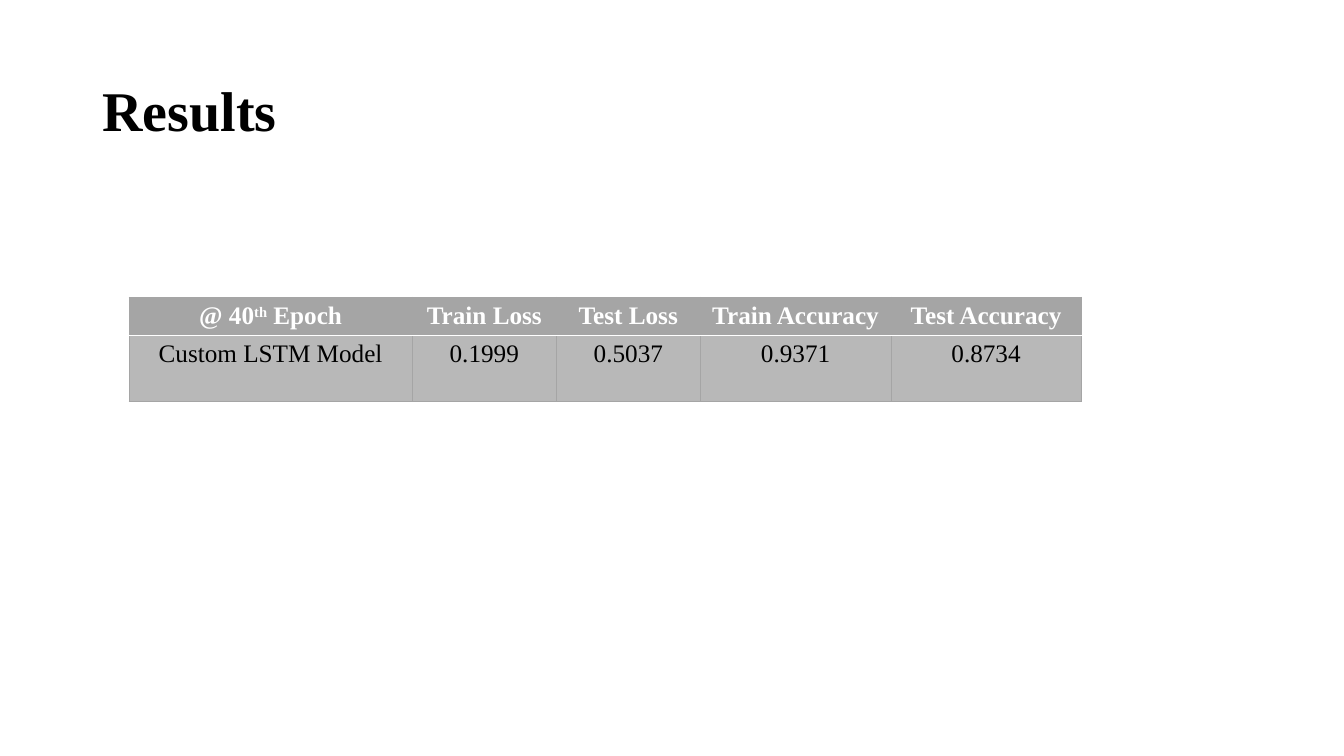
from lxml import etree
from pptx import Presentation
from pptx.dml.color import RGBColor
from pptx.enum.text import MSO_ANCHOR, PP_ALIGN
from pptx.oxml.ns import qn
from pptx.util import Cm, Pt

LEFT, CENTER = PP_ALIGN.LEFT, PP_ALIGN.CENTER
MIDDLE = MSO_ANCHOR.MIDDLE
TITLE_ONLY = 5
FONT = "Times New Roman"
BLACK = RGBColor(0x00, 0x00, 0x00)
WHITE = RGBColor(0xFF, 0xFF, 0xFF)
GRAY = RGBColor(0xA5, 0xA5, 0xA5)
LIGHT_GRAY = RGBColor(0xB8, 0xB8, 0xB8)

COLUMN_WIDTHS = [7.14, 3.63, 3.63, 4.8, 4.8]
ROW_HEIGHTS = [0.96, 1.66]
RESULTS = [
    ["@ 40^th^ Epoch", "Train Loss", "Test Loss", "Train Accuracy", "Test Accuracy"],
    ["Custom LSTM Model", "0.1999", "0.5037", "0.9371", "0.8734"],
]


def write_text(frame, text, size=18, color=BLACK, bold=False, align=CENTER, spacing=None):
    """Fill the frame with one paragraph; text between ^ marks is superscript."""
    paragraph = frame.paragraphs[0]
    paragraph.alignment = align
    paragraph.line_spacing = spacing
    for index, part in enumerate(text.split("^")):
        run = paragraph.add_run()
        run.text = part
        run.font.name = FONT
        run.font.size = Pt(size)
        run.font.bold = bold
        run.font.color.rgb = color
        if index % 2:
            run.font._element.set("baseline", "30000")


def set_borders(cell, **borders):
    """Draw cell borders given as side=(color, points), in the order L, R, T, B."""
    properties = cell._tc.get_or_add_tcPr()
    for position, (side, (color, points)) in enumerate(borders.items()):
        line = etree.Element(qn(f"a:ln{side}"), w=str(Pt(points)))
        fill = etree.SubElement(line, qn("a:solidFill"))
        etree.SubElement(fill, qn("a:srgbClr"), val=str(color))
        properties.insert(position, line)


def add_title(slide, text):
    title = slide.shapes.title
    title.left, title.top, title.width, title.height = Cm(2.33), Cm(1.01), Cm(29.21), Cm(3.68)
    title.text_frame.vertical_anchor = MIDDLE
    write_text(title.text_frame, text, size=40, bold=True, align=LEFT, spacing=0.9)


def add_results_table(slide):
    table = slide.shapes.add_table(
        len(RESULTS), len(COLUMN_WIDTHS), Cm(3.25), Cm(7.49),
        Cm(sum(COLUMN_WIDTHS)), Cm(sum(ROW_HEIGHTS)),
    ).table
    for column, width in zip(table.columns, COLUMN_WIDTHS):
        column.width = Cm(width)
    outline, divider = (GRAY, 0.5), (WHITE, 1)
    for row_index, (row, labels) in enumerate(zip(table.rows, RESULTS)):
        row.height = Cm(ROW_HEIGHTS[row_index])
        is_header = row_index == 0
        for cell, label in zip(row.cells, labels):
            write_text(cell.text_frame, label, bold=is_header,
                       color=WHITE if is_header else BLACK)
            cell.fill.solid()
            cell.fill.fore_color.rgb = GRAY if is_header else LIGHT_GRAY
            set_borders(cell, L=outline, R=outline,
                        T=outline if is_header else divider,
                        B=divider if is_header else outline)


def main():
    presentation = Presentation()
    presentation.slide_width, presentation.slide_height = Cm(33.87), Cm(19.05)
    slide = presentation.slides.add_slide(presentation.slide_layouts[TITLE_ONLY])
    add_title(slide, "Results")
    add_results_table(slide)
    presentation.save("out.pptx")


if __name__ == "__main__":
    main()
